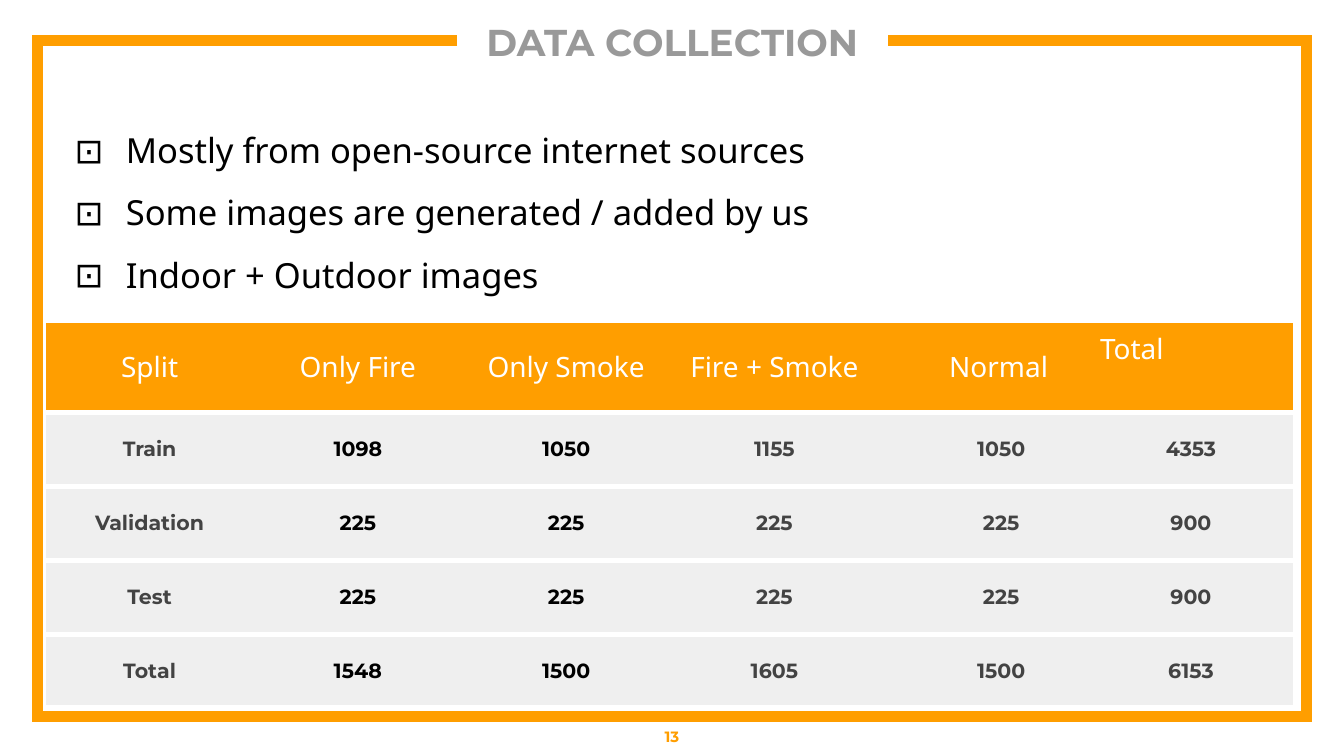
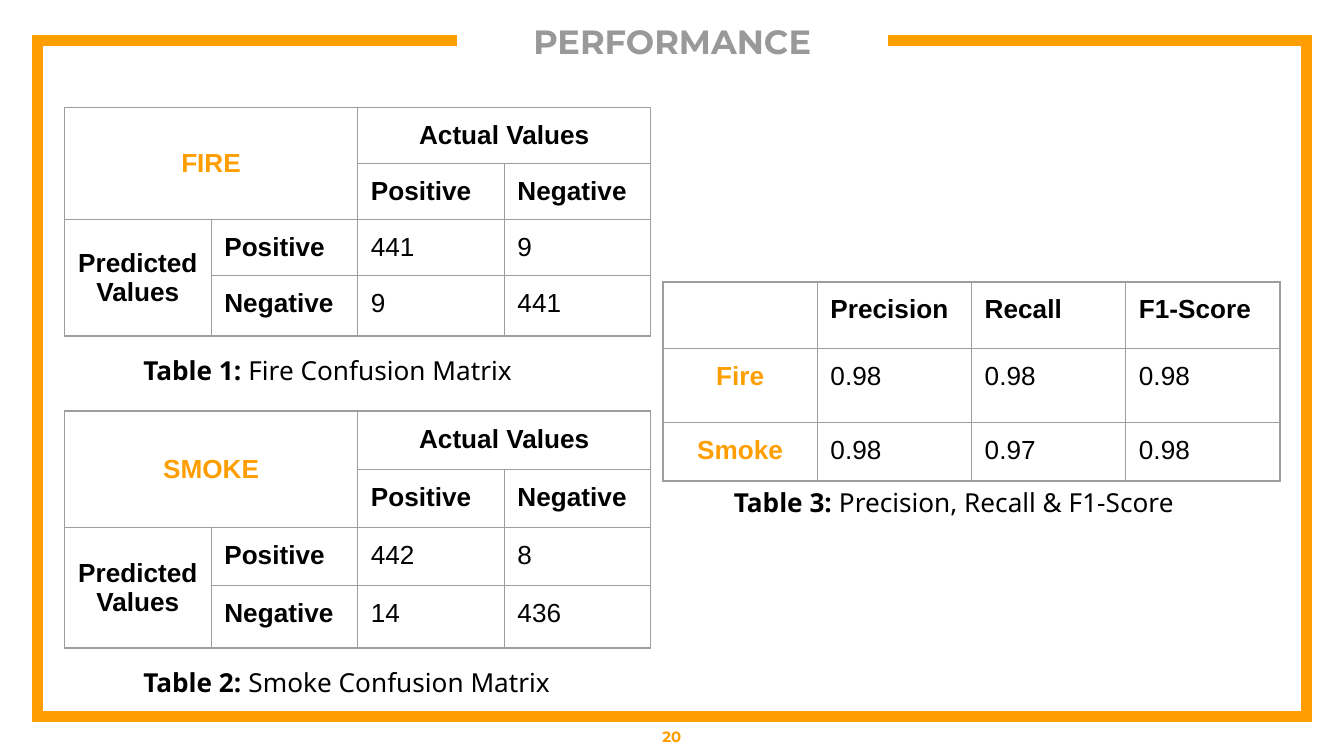
"""Build the data collection and performance slides."""
from dataclasses import dataclass

from lxml.etree import SubElement
from pptx import Presentation
from pptx.dml.color import RGBColor
from pptx.enum.text import MSO_ANCHOR, MSO_AUTO_SIZE, PP_ALIGN
from pptx.oxml.ns import qn
from pptx.util import Cm, Pt


@dataclass(frozen=True)
class Theme:
    """Colours, fonts and type sizes shared by the slides."""
    brand: str = "FF9E00"
    title: str = "999999"
    ink: str = "000000"
    gray: str = "434343"
    pale: str = "EFEFEF"
    rule: str = "9E9E9E"
    white: str = "FFFFFF"
    head: str = "Montserrat"
    sans: str = "Noto Sans"
    grid: str = "Arial"
    list_size: float = 18.5
    top_size: float = 15
    cell_size: float = 14
    data_size: float = 11
    page_size: float = 8


@dataclass(frozen=True)
class Box:
    """A region of the slide in centimetres."""
    x: float
    y: float
    w: float
    h: float

    def cm(self):
        """Return the four lengths for a shape call."""
        return Cm(self.x), Cm(self.y), Cm(self.w), Cm(self.h)


THEME = Theme()
PAGE = Box(0, 0, 25.4, 14.29)
PAD = 0.25
LEFT, MID = PP_ALIGN.LEFT, PP_ALIGN.CENTER


def pen(frame, face, size, color, bold=False, align=LEFT):
    """Format every run of a text frame."""
    for par in frame.paragraphs:
        par.alignment = align
        for run in par.runs:
            run.font.name = face
            run.font.size = Pt(size)
            run.font.bold = bold
            run.font.color.rgb = RGBColor.from_string(color)


def inset(part, side, top):
    """Set the side and top margins of a text frame or cell."""
    part.margin_left = part.margin_right = Cm(side)
    part.margin_top = part.margin_bottom = Cm(top)


def place(shape, box):
    """Move a shape to a box."""
    shape.left, shape.top, shape.width, shape.height = box.cm()


def ready(frame, pad, anchor):
    """Set up wrapping, margins and anchor of a text frame."""
    frame.word_wrap = True
    frame.auto_size = MSO_AUTO_SIZE.NONE
    frame.vertical_anchor = anchor
    inset(frame, pad, pad)


def border(slide, box):
    """Draw the open frame that leaves a gap for the title."""
    gap, end = box.x + 7.93, box.x + 16.08
    right, low = box.x + box.w, box.y + box.h
    spots = [(box.x, box.y), (box.x, low), (right, low),
             (right, box.y), (end, box.y)]
    pen_path = slide.shapes.build_freeform(Cm(gap), Cm(box.y))
    pen_path.add_line_segments([(Cm(x), Cm(y)) for x, y in spots], close=False)
    shape = pen_path.convert_to_shape()
    shape.shadow.inherit = False
    shape.fill.background()
    shape.line.color.rgb = RGBColor.from_string(THEME.brand)
    shape.line.width = Pt(6)
    line = shape.element.spPr.find(qn("a:ln"))
    SubElement(line, qn("a:miter"), lim="800000")
    slide.shapes.element.insert(2, shape.element)


def base(deck, layout, title, size, page):
    """Add a slide with its frame, title and page number."""
    slide = deck.slides.add_slide(deck.slide_layouts[layout])
    border(slide, Box(0.71, 0.76, 23.98, 12.78))
    head = slide.shapes.title
    place(head, Box(9.01, 0.28, 7.39, 1))
    head.text_frame.text = title
    ready(head.text_frame, 0, MSO_ANCHOR.MIDDLE)
    pen(head.text_frame, THEME.head, size, THEME.title, True, MID)
    foot = slide.shapes.add_textbox(*Box(0, 13.54, PAGE.w, 0.75).cm()).text_frame
    foot.text = page
    ready(foot, PAD, MSO_ANCHOR.MIDDLE)
    pen(foot, THEME.head, THEME.page_size, THEME.brand, True, MID)
    return slide


def points(slide, box, lines):
    """Fill the body placeholder with a bulleted list."""
    body = slide.placeholders[1]
    place(body, box)
    frame = body.text_frame
    frame.text = "\n".join(lines)
    ready(frame, PAD, MSO_ANCHOR.TOP)
    pen(frame, THEME.sans, THEME.list_size, THEME.ink)
    for rank, par in enumerate(frame.paragraphs):
        par.line_spacing = 1.5
        par.space_before = Pt(0 if rank else 10)
        par.space_after = Pt(0)
        props = par._p.get_or_add_pPr()
        props.set("marL", str(Cm(1.27)))
        props.set("indent", str(Cm(-0.97)))
        tint = SubElement(props, qn("a:buClr"))
        SubElement(tint, qn("a:srgbClr"), val=THEME.ink)
        SubElement(props, qn("a:buFont"), typeface=THEME.sans)
        SubElement(props, qn("a:buChar"), char="⊡")


def edge(cell, color, width, sides):
    """Line the named sides of a cell and clear the others."""
    props = cell._tc.get_or_add_tcPr()
    for side in "LRTB":
        line = SubElement(props, qn(f"a:ln{side}"), w=str(Pt(width)))
        if side in sides:
            fill = SubElement(line, qn("a:solidFill"))
            SubElement(fill, qn("a:srgbClr"), val=color)
        else:
            SubElement(line, qn("a:noFill"))


def grid(slide, box, rows, tall):
    """Add a plain table with equal columns and given row heights."""
    wide = len(rows[0])
    table = slide.shapes.add_table(len(rows), wide, *box.cm()).table
    table.first_row = table.horz_banding = False
    for col in table.columns:
        col.width = Cm(box.w / wide)
    for row, high in zip(table.rows, tall):
        row.height = Cm(high)
    for r, row in enumerate(rows):
        for c, text in enumerate(row):
            table.cell(r, c).text_frame.text = text
    return table


def splits(slide, box, rows):
    """Draw the banded table of data splits."""
    top = 1.75
    rest = (box.h - top) / (len(rows) - 1)
    table = grid(slide, box, rows, [top] + [rest] * (len(rows) - 1))
    last = len(rows[0]) - 1
    for r in range(len(rows)):
        for c in range(last + 1):
            cell = table.cell(r, c)
            edge(cell, THEME.white, 3, "RTB" if c == last else "TB")
            cell.fill.solid()
            shade = THEME.pale if r else THEME.brand
            cell.fill.fore_color.rgb = RGBColor.from_string(shade)
            inset(cell, PAD, 0.18)
            if c == last - 1:
                cell.margin_left = Cm(0.95 if r else 0.85)
            corner = r == 0 and c == last
            cell.vertical_anchor = MSO_ANCHOR.TOP if corner else MSO_ANCHOR.MIDDLE
            if r:
                color = THEME.ink if c in (1, 2) else THEME.gray
                pen(cell.text_frame, THEME.head, THEME.data_size, color, True, MID)
            else:
                pen(cell.text_frame, THEME.sans, THEME.top_size, THEME.white,
                    align=LEFT if corner else MID)


def ruled(slide, box, rows, tall, keys, mids):
    """Draw a ruled table with orange key cells and bold labels."""
    table = grid(slide, box, rows, tall)
    for r, row in enumerate(rows):
        for c, text in enumerate(row):
            cell = table.cell(r, c)
            edge(cell, THEME.rule, 0.75, "LRTB")
            cell.fill.background()
            inset(cell, PAD, PAD)
            color = THEME.brand if (r, c) in keys else THEME.ink
            bold = not text.replace(".", "").isdigit()
            align = MID if (r, c) in keys + mids else LEFT
            pen(cell.text_frame, THEME.grid, THEME.cell_size, color, bold, align)
    return table


def label(slide, box, lead, text):
    """Write a caption with a bold lead."""
    frame = slide.shapes.add_textbox(*box.cm()).text_frame
    frame.text = lead
    frame.paragraphs[0].add_run().text = text
    ready(frame, PAD, MSO_ANCHOR.TOP)
    frame.auto_size = MSO_AUTO_SIZE.SHAPE_TO_FIT_TEXT
    pen(frame, THEME.sans, THEME.cell_size, THEME.ink)
    frame.paragraphs[0].runs[0].font.bold = True


def matrix(slide, box, name, counts, row, number):
    """Draw a confusion matrix and its caption."""
    hits, misses = counts
    rows = [[name, "", "Actual Values", ""],
            ["", "", "Positive", "Negative"],
            ["Predicted\nValues", "Positive", *hits],
            ["", "Negative", *misses]]
    tall = [row] * 3 + [box.h - 3 * row]
    table = ruled(slide, box, rows, tall, [(0, 0)], [(0, 2), (2, 0)])
    for start, end in [((0, 0), (1, 1)), ((0, 2), (0, 3)), ((2, 0), (3, 0))]:
        table.cell(*start).merge(table.cell(*end))
    for spot in [(0, 0), (2, 0)]:
        table.cell(*spot).vertical_anchor = MSO_ANCHOR.MIDDLE
    label(slide, Box(box.x + 1.24, box.y + box.h + 0.1, 10.74, 1.12),
          f"Table {number}: ", f"{name.title()} Confusion Matrix")


def scores(slide, box):
    """Draw the score table and its caption."""
    rows = [["", "Precision", "Recall", "F1-Score"],
            ["Fire", "0.98", "0.98", "0.98"],
            ["Smoke", "0.98", "0.97", "0.98"]]
    ruled(slide, box, rows, [1.23, 1.4, box.h - 2.63], [(1, 0), (2, 0)], [])
    label(slide, Box(box.x + 1.09, box.y + box.h - 0.12, 10.74, 1.12),
          "Table 3: ", "Precision, Recall & F1-Score")


def data(deck):
    """Build the data collection slide."""
    slide = base(deck, 1, "DATA COLLECTION", 20, "13")
    points(slide, Box(0.86, 1.8, 23.67, 10.69),
           ["Mostly from open-source internet sources",
            "Some images are generated / added by us",
            "Indoor + Outdoor images"])
    splits(slide, Box(0.86, 6.05, 23.62, 7.33),
           [["Split", "Only Fire", "Only Smoke", "Fire + Smoke", "Normal", "Total"],
            ["Train", "1098", "1050", "1155", "1050", "4353"],
            ["Validation", "225", "225", "225", "225", "900"],
            ["Test", "225", "225", "225", "225", "900"],
            ["Total", "1548", "1500", "1605", "1500", "6153"]])


def results(deck):
    """Build the performance slide."""
    slide = base(deck, 5, "PERFORMANCE", 18, "20")
    matrix(slide, Box(1.22, 2.03, 11.08, 4.32), "FIRE",
           [["441", "9"], ["9", "441"]], 1.06, 1)
    matrix(slide, Box(1.22, 7.77, 11.08, 4.48), "SMOKE",
           [["442", "8"], ["14", "436"]], 1.1, 2)
    scores(slide, Box(12.53, 5.33, 11.66, 3.73))


def main():
    """Build and save the deck."""
    deck = Presentation()
    deck.slide_width, deck.slide_height = Cm(PAGE.w), Cm(PAGE.h)
    data(deck)
    results(deck)
    deck.save("out.pptx")


if __name__ == "__main__":
    main()
